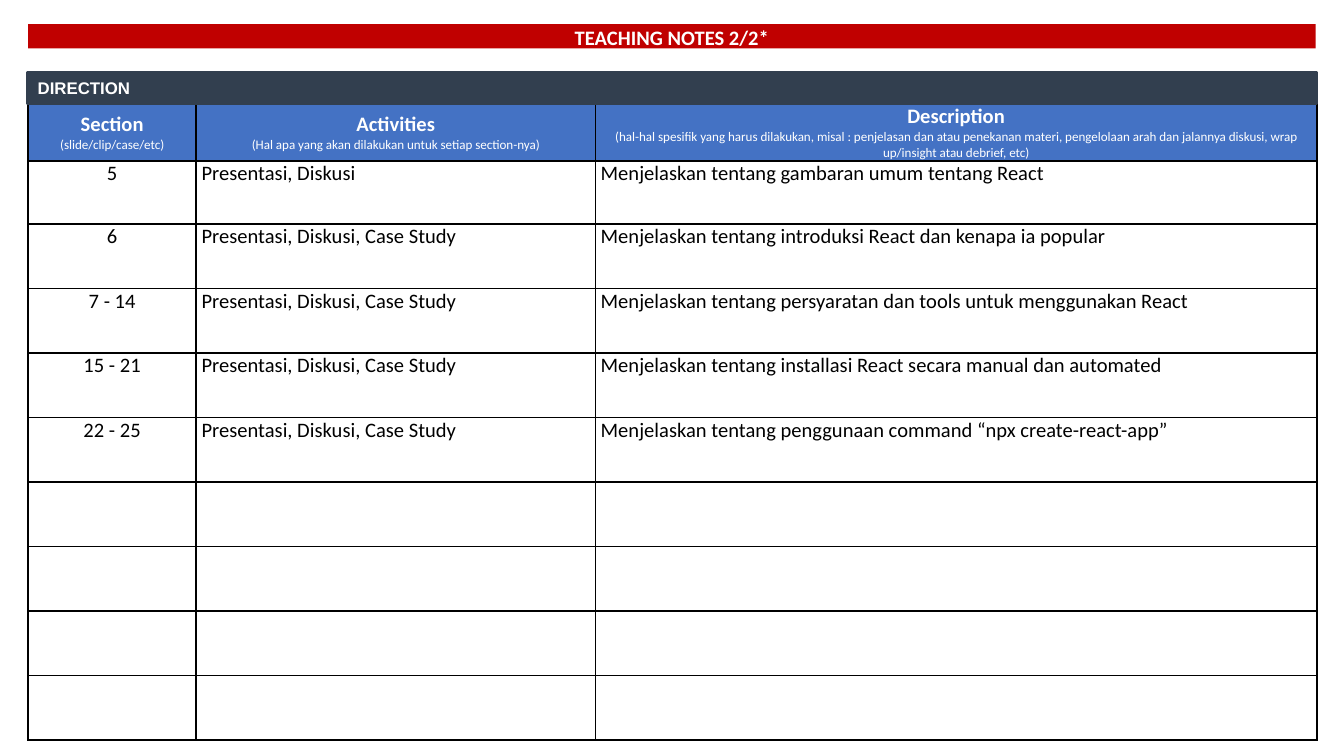
from dataclasses import dataclass

from lxml import etree
from pptx import Presentation, util as u
from pptx.dml.color import RGBColor
from pptx.enum import shapes, text
from pptx.oxml import ns


@dataclass(frozen=True)
class Theme:
    white: RGBColor = RGBColor.from_string("FFFFFF")
    black: RGBColor = RGBColor.from_string("000000")
    red: RGBColor = RGBColor.from_string("C00000")
    slate: RGBColor = RGBColor.from_string("323F4F")
    blue: RGBColor = RGBColor.from_string("4472C4")
    body_font: str = "Calibri"
    bar_font: str = "Arial"
    body_size: u.Pt = u.Pt(11)
    bar_size: u.Pt = u.Pt(9)
    hint_size: u.Pt = u.Pt(7)
    border: u.Pt = u.Pt(1)


theme = Theme()


def style(paragraph, font_name, size, color, bold, align):
    paragraph.alignment = align
    font = paragraph.font
    font.name, font.size, font.bold = font_name, size, bold
    font.color.rgb = color


def add_borders(cell):
    properties = cell._tc.get_or_add_tcPr()
    for side in ("a:lnL", "a:lnR", "a:lnT", "a:lnB"):
        line = etree.SubElement(properties, ns.qn(side), w=str(theme.border))
        fill = etree.SubElement(line, ns.qn("a:solidFill"))
        etree.SubElement(fill, ns.qn("a:srgbClr"), val=str(theme.black))


LEFT, WIDTH = u.Inches(0.21), u.Inches(9.58)
CENTER, START = text.PP_ALIGN.CENTER, text.PP_ALIGN.LEFT

# Widescreen slide, 16:9
presentation = Presentation()
presentation.slide_width = u.Inches(10)
presentation.slide_height = u.Inches(10 * 9 / 16)
slide = presentation.slides.add_slide(presentation.slide_layouts[5])

# Activity table
headers = [
    ("Section", "(slide/clip/case/etc)"),
    ("Activities", "(Hal apa yang akan dilakukan untuk setiap section-nya)"),
    ("Description",
     "(hal-hal spesifik yang harus dilakukan, misal : penjelasan dan atau "
     "penekanan materi, pengelolaan arah dan jalannya diskusi, "
     "wrap up/insight atau debrief, etc)"),
]
case_study = "Presentasi, Diskusi, Case Study"
activities = [
    ("5", "Presentasi, Diskusi", "Menjelaskan tentang gambaran umum tentang React"),
    ("6", case_study, "Menjelaskan tentang introduksi React dan kenapa ia popular"),
    ("7 - 14", case_study,
     "Menjelaskan tentang persyaratan dan tools untuk menggunakan React"),
    ("15 - 21", case_study,
     "Menjelaskan tentang installasi React secara manual dan automated"),
    ("22 - 25", case_study,
     "Menjelaskan tentang penggunaan command “npx create-react-app”"),
]
empty_rows = 4
rows = [headers] + activities + [("", "", "")] * empty_rows
column_widths = [1.25, 2.97, 5.37]
row_heights = [0.37, 0.47] + [0.48] * (len(rows) - 2)

table = slide.shapes.add_table(
    len(rows), len(column_widths), LEFT, u.Inches(0.77),
    WIDTH, u.Inches(sum(row_heights))).table
for column, width in zip(table.columns, column_widths):
    column.width = u.Inches(width)
for row, height in zip(table.rows, row_heights):
    row.height = u.Inches(height)

for row_index, row in enumerate(rows):
    for column_index, content in enumerate(row):
        cell = table.cell(row_index, column_index)
        is_header = row_index == 0
        add_borders(cell)
        cell.fill.solid()
        cell.fill.fore_color.rgb = theme.blue if is_header else theme.white
        cell.margin_left = cell.margin_right = u.Inches(0.04)
        cell.margin_top = cell.margin_bottom = 0
        paragraph = cell.text_frame.paragraphs[0]
        if is_header:
            cell.vertical_anchor = text.MSO_ANCHOR.MIDDLE
            paragraph.text, hint_text = content
            style(paragraph, theme.body_font, theme.body_size, theme.white, True, CENTER)
            # The long hint follows a line break, the short ones a new paragraph
            if column_index == len(headers) - 1:
                paragraph.add_line_break()
                hint = paragraph.add_run()
                hint.font.size, hint.font.bold = theme.hint_size, False
            else:
                hint = cell.text_frame.add_paragraph()
                style(hint, theme.body_font, theme.hint_size, theme.white, False, CENTER)
            hint.text = hint_text
        elif content:
            paragraph.text = content
            style(paragraph, theme.body_font, theme.body_size, theme.black, False,
                  CENTER if column_index == 0 else START)

# Title band and section bar
title = slide.shapes.title
title.left, title.top = LEFT, u.Inches(0.18)
title.width, title.height = WIDTH, u.Inches(0.18)
section_bar = slide.shapes.add_shape(
    shapes.MSO_SHAPE.RECTANGLE, LEFT, u.Inches(0.54), WIDTH, u.Inches(0.23))
section_bar.shadow.inherit = False
section_bar.line.color.rgb = theme.slate
section_bar.line.width = u.Pt(2)

bands = [
    (title, "TEACHING NOTES 2/2*", theme.red, theme.body_font, theme.body_size, CENTER),
    (section_bar, "DIRECTION", theme.slate, theme.bar_font, theme.bar_size, START),
]
for shape, label, color, font_name, size, align in bands:
    shape.fill.solid()
    shape.fill.fore_color.rgb = color
    frame = shape.text_frame
    frame.text = label
    frame.word_wrap = True
    frame.auto_size = text.MSO_AUTO_SIZE.NONE
    frame.vertical_anchor = text.MSO_ANCHOR.MIDDLE
    frame.margin_left = frame.margin_right = u.Inches(0.07)
    frame.margin_top = frame.margin_bottom = u.Inches(0.04)
    style(frame.paragraphs[0], font_name, size, theme.white, True, align)
title.text_frame.paragraphs[0].line_spacing = 1.07

presentation.save("out.pptx")
